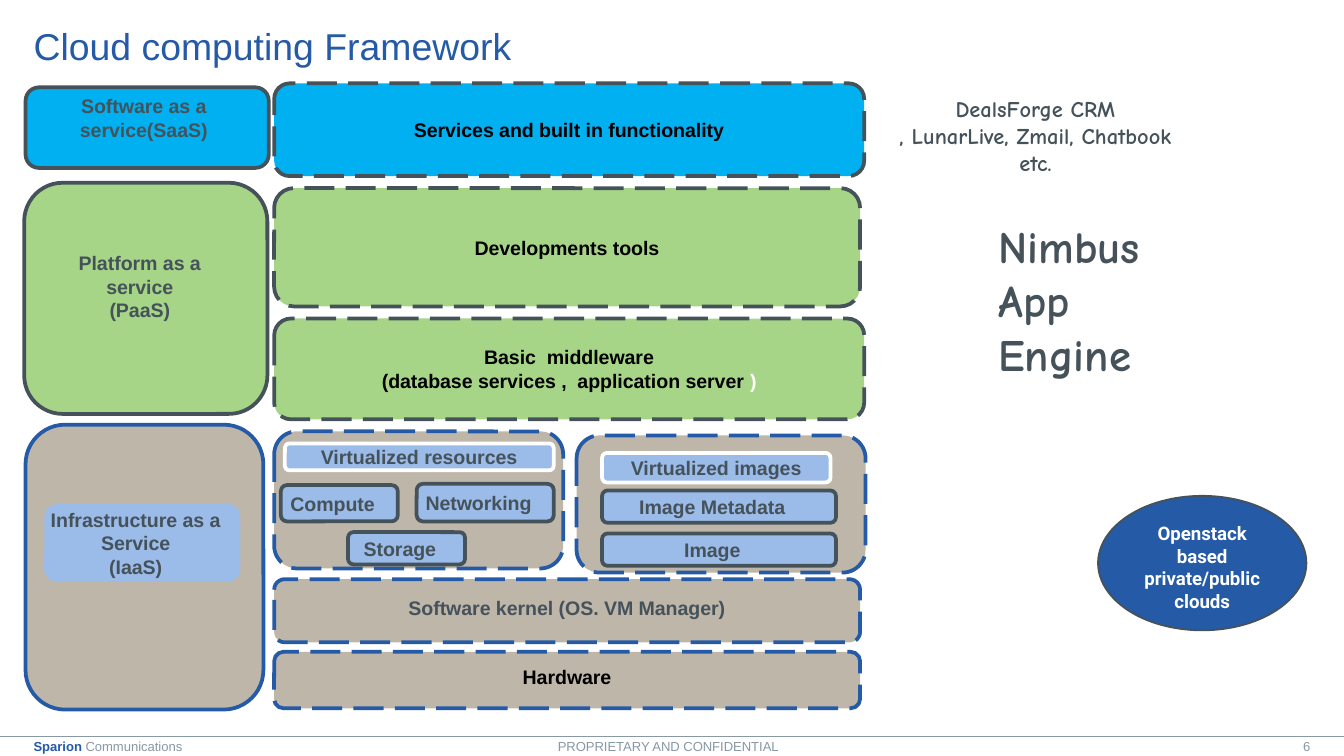
from lxml import etree
from pptx import Presentation
from pptx import util as u
from pptx.dml.color import RGBColor
from pptx.enum import dml, shapes, text
from pptx.oxml.ns import qn

# The 16:9 slide is a grid of square cells, 100 columns by 56.25 rows
COLS, ROWS, CELL = 100, 56.25, u.Inches(0.1)

COLOURS = {
    "blue": "255AA7", "slate": "45525A", "grey": "8899A4", "white": "FFFFFF",
    "black": "000000", "saas": "00B0F0", "paas": "A6D588", "iaas": "BFB6AA",
    "part": "9BBBE9",
}
PADDING = (0.1, 0.05, 0.1, 0.05)
LABEL_PADDING = (0, 0.05, 0.1, 0.05)
BASE_PADDING = (0.1, 0, 0.1, 0.05)
CENTER, LEFT, RIGHT = text.PP_ALIGN.CENTER, text.PP_ALIGN.LEFT, text.PP_ALIGN.RIGHT
MIDDLE, TOP = text.MSO_ANCHOR.MIDDLE, text.MSO_ANCHOR.TOP


def colour(name):
    return RGBColor.from_string(COLOURS[name])


def within(box, col, row, width, height):
    """Place a part by its offset from the region's top left cell."""
    return box[0] + col, box[1] + row, width, height


def emu(box):
    return [u.Emu(round(cells * CELL)) for cells in box]


def write(frame, *lines, size=10.5, font="Arial", ink="slate", bold=True,
          align=CENTER, anchor=MIDDLE, padding=PADDING, wrap=True):
    """Each line is a string, or a list of (string, format changes) runs."""
    frame.auto_size = text.MSO_AUTO_SIZE.NONE
    frame.word_wrap, frame.vertical_anchor = wrap, anchor
    (frame.margin_left, frame.margin_top,
     frame.margin_right, frame.margin_bottom) = map(u.Inches, padding)
    for number, line in enumerate(lines):
        paragraph = frame.add_paragraph() if number else frame.paragraphs[0]
        paragraph.alignment = align
        for words, changes in [(line, {})] if isinstance(line, str) else line:
            run = paragraph.add_run()
            run.text = words
            run.font.name, run.font.size = font, u.Pt(size)
            run.font.bold = changes.get("bold", bold)
            run.font.color.rgb = colour(changes.get("ink", ink))


def block(slide, box, fill, *lines, edge=None, weight=2, dashed=False,
          kind=shapes.MSO_SHAPE.ROUNDED_RECTANGLE, **style):
    figure = slide.shapes.add_shape(kind, *emu(box))
    figure.shadow.inherit = False
    figure.fill.solid()
    figure.fill.fore_color.rgb = colour(fill)
    if edge:
        figure.line.color.rgb = colour(edge)
        figure.line.width = u.Pt(weight)
        if dashed:
            figure.line.dash_style = dml.MSO_LINE.LONG_DASH
    else:
        figure.line.fill.background()
    if lines:
        write(figure.text_frame, *lines, **style)


def note(slide, box, *lines, **style):
    write(slide.shapes.add_textbox(*emu(box)).text_frame, *lines, **style)


def heading(slide, box):
    title = slide.shapes.title
    title.left, title.top, title.width, title.height = emu(box)
    write(title.text_frame, "Cloud computing Framework", size=20, ink="blue",
          bold=False, align=LEFT, padding=(0.25, 0, 0.5, 0))


def software_layer(slide, box):
    block(slide, within(box, 0, 0.3, 18.1, 6), "saas", edge="slate")
    block(slide, within(box, 0.9, 1.1, 16.8, 2.9), "saas",
          "Software as a service(SaaS)", padding=LABEL_PADDING)
    block(slide, within(box, 18.5, 0, 43.9, 6.9), "saas",
          "Services and built in functionality",
          edge="slate", dashed=True, ink="black")


def platform_layer(slide, box):
    block(slide, within(box, 0, 0, 18.1, 17.2), "paas", edge="slate")
    block(slide, within(box, 2.4, 5.8, 13.4, 3.8), "paas",
          "Platform as a service", "(PaaS)", padding=LABEL_PADDING)
    block(slide, within(box, 18.6, 0.4, 43.6, 8.8), "paas", "Developments tools",
          edge="slate", dashed=True, ink="black")
    block(slide, within(box, 18.6, 10.1, 43.9, 7.5), "paas", "Basic  middleware",
          [("(database services ,  application server ", {}),
           (")", {"ink": "white"})],
          edge="slate", dashed=True, ink="black")


def resource_group(slide, box, header, parts):
    """A dashed frame with a white-edged header and its parts."""
    block(slide, box, "iaas", edge="blue", dashed=True)
    name, *place = header
    block(slide, within(box, *place), "part", name, edge="white")
    for name, *place in parts:
        block(slide, within(box, *place), "part", name, edge="slate",
              padding=LABEL_PADDING)


def infrastructure_layer(slide, box):
    block(slide, within(box, 0, 0, 17.7, 21.2), "iaas", edge="blue")
    block(slide, within(box, 1.4, 5.9, 14.6, 5.8), "part",
          "Infrastructure as a Service", "(IaaS)", padding=LABEL_PADDING)
    resource_group(slide, within(box, 18.5, 0.5, 21.5, 10.2),
                   ("Virtualized resources", 0.8, 0.9, 20, 2),
                   [("Compute", 0.5, 4, 8.7, 2.7),
                    ("Networking", 10.6, 3.9, 10.2, 2.8),
                    ("Storage", 5.5, 7.5, 8.7, 2.4)])
    resource_group(slide, within(box, 41, 0.8, 21.5, 10.2),
                   ("Virtualized images", 1.9, 1.3, 17, 2.2),
                   [("Image Metadata", 1.9, 4.1, 17.4, 2.4),
                    ("Image", 1.9, 7.3, 17.4, 2.4)])
    for name, row, height, ink in (
            ("Software kernel (OS. VM Manager)", 11.5, 4.7, "slate"),
            ("Hardware", 16.9, 4.2, "black")):
        block(slide, within(box, 18.5, row, 43.6, height), "iaas", name,
              edge="blue", dashed=True, ink=ink, padding=BASE_PADDING,
              wrap=False)


def examples(slide, box):
    note(slide, within(box, 0, 0, 24.7, 7.1), "DealsForge CRM",
         ", LunarLive, Zmail, Chatbook etc.",
         size=12, font="Comic Neue", anchor=TOP)
    note(slide, within(box, 8.6, 9.2, 15.2, 7.1), "Nimbus App Engine",
         size=24, font="Comic Neue", align=LEFT, anchor=TOP)
    block(slide, within(box, 17, 30.3, 15.5, 10), "blue",
          "Openstack based private/public clouds", edge="slate", weight=1,
          kind=shapes.MSO_SHAPE.OVAL, size=10, font="Roboto", ink="white",
          anchor=TOP)


def footer(slide, box):
    left, top, width, height = emu(box)
    rule = slide.shapes.add_connector(
        shapes.MSO_CONNECTOR.STRAIGHT, left, top, left + width, top)
    rule.line.color.rgb = colour("grey")
    rule.line.width = u.Pt(0.5)
    etree.SubElement(rule._element.spPr, qn("a:effectLst"))
    small = dict(size=7, ink="grey", bold=False)
    note(slide, within(box, 0, 0.1, 13.5, 1.2),
         [("Sparion ", {"ink": "blue", "bold": True}), ("Communications", {})],
         align=LEFT, padding=(0.25, 0, 0, 0), wrap=False, **small)
    note(slide, within(box, 41.5, 0.1, 16.8, 1.2), "PROPRIETARY AND CONFIDENTIAL",
         align=LEFT, padding=(0, 0, 0, 0), wrap=False, **small)
    note(slide, box, "6", align=RIGHT, padding=(0.1, 0.05, 0.25, 0.05), **small)


def main():
    deck = Presentation()
    deck.slide_width, deck.slide_height = emu((COLS, ROWS))
    slide = deck.slides.add_slide(deck.slide_layouts.get_by_name("Title Only"))
    heading(slide, (0, 1.7, 88.5, 3.4))
    software_layer(slide, (1.9, 6.2, 62.4, 6.9))
    platform_layer(slide, (1.8, 13.6, 62.5, 17.6))
    infrastructure_layer(slide, (1.9, 31.6, 62.5, 21.2))
    examples(slide, (64.7, 6.6, 32.5, 40.3))
    footer(slide, (0, 54.8, COLS, 1.4))
    deck.save("out.pptx")


if __name__ == "__main__":
    main()
